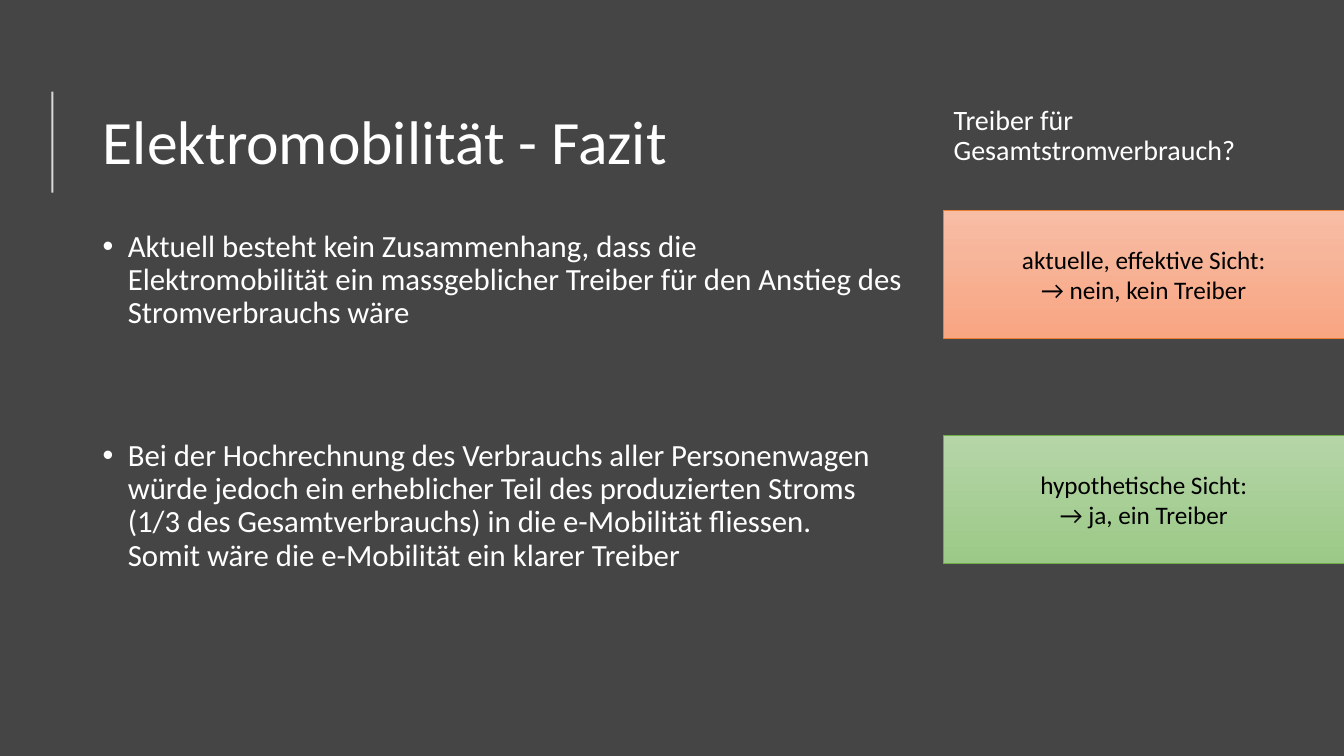
from dataclasses import dataclass

from lxml.etree import SubElement
from pptx import Presentation
from pptx.dml.color import RGBColor
from pptx.enum.shapes import MSO_CONNECTOR as Connector, MSO_SHAPE as Shape
from pptx.enum.text import MSO_ANCHOR as Anchor, MSO_AUTO_SIZE as AutoSize, PP_ALIGN as Align
from pptx.oxml.ns import qn
from pptx.slide import Slide
from pptx.text.text import TextFrame, _Paragraph as Paragraph
from pptx.util import Inches, Pt

FONT = "Calibri"
COLORS = {
    "background": "454545",
    "light": "FFFFFF",
    "dark": "000000",
    "orange_top": "F7BDA5",
    "orange_bottom": "F8A582",
    "orange_line": "ED7D31",
    "green_top": "B5D5A7",
    "green_bottom": "9CC987",
    "green_line": "70AD47",
}
SIDE_LEFT, SIDE_WIDTH = 9.36, 3.97
VIEW_HEIGHT = 1.27


@dataclass
class View:
    top: float
    color: str
    lines: list[str]


VIEWS = [
    View(2.09, "orange", ["aktuelle, effektive Sicht:", "→ nein, kein Treiber"]),
    View(4.32, "green", ["hypothetische Sicht:", "→ ja, ein Treiber"]),
]
CONCLUSIONS = [
    "Aktuell besteht kein Zusammenhang, dass die Elektromobilität ein massgeblicher "
    "Treiber für den Anstieg des Stromverbrauchs wäre",
    "Bei der Hochrechnung des Verbrauchs aller Personenwagen würde jedoch ein "
    "erheblicher Teil des produzierten Stroms (1/3 des Gesamtverbrauchs) in die "
    "e-Mobilität fliessen.\vSomit wäre die e-Mobilität ein klarer Treiber",
]
CONCLUSION_GAP = 78


def rgb(name: str) -> RGBColor:
    return RGBColor.from_string(COLORS[name])


def write(frame: TextFrame, lines: list[str], size: float, color: str = "light",
          anchor: Anchor = Anchor.MIDDLE, **para_format) -> list[Paragraph]:
    """Fill the frame with one paragraph per line and return the paragraphs."""
    frame.word_wrap = True
    frame.auto_size = AutoSize.NONE
    frame.vertical_anchor = anchor
    paras = [frame.paragraphs[0]] + [frame.add_paragraph() for _ in lines[1:]]
    for para, line in zip(paras, lines):
        para.text = line
        for name, value in para_format.items():
            setattr(para, name, value)
        for span in para.runs:
            span.font.color.rgb = rgb(color)
            for name, value in {"name": FONT, "size": Pt(size)}.items():
                setattr(span.font, name, value)
    return paras


def add_title(slide: Slide) -> None:
    title = slide.shapes.title
    place = {"left": 0.92, "top": 0.78, "width": 6.35, "height": 1.31}
    for name, value in place.items():
        setattr(title, name, Inches(value))
    write(title.text_frame, ["Elektromobilität - Fazit"], 44,
          line_spacing=0.9, alignment=Align.LEFT)


def add_accent_line(slide: Slide) -> None:
    accent = slide.shapes.add_connector(
        Connector.STRAIGHT, Inches(0.52), Inches(1.91), Inches(0.52), Inches(0.91))
    accent.line.width = Pt(1.5)
    accent.line.color.rgb = rgb("light")
    properties = accent.element.spPr
    SubElement(next(properties.iter(qn("a:srgbClr"))), qn("a:alpha"), val="80000")
    SubElement(properties, qn("a:effectLst"))


def add_conclusions(slide: Slide) -> None:
    box = slide.shapes.add_textbox(Inches(0.92), Inches(2.24), Inches(8.14), Inches(4.51))
    paras = write(box.text_frame, CONCLUSIONS, 22, anchor=Anchor.TOP, line_spacing=0.9)
    for para in paras[1:]:
        para.space_before = Pt(CONCLUSION_GAP)
    for para in paras:
        properties = para._p.get_or_add_pPr()
        properties.set("marL", str(Inches(0.25)))
        properties.set("indent", str(-Inches(0.25)))
        SubElement(properties, qn("a:buFont"), typeface="Arial")
        SubElement(properties, qn("a:buChar"), char="•")


def add_question(slide: Slide) -> None:
    box = slide.shapes.add_textbox(
        Inches(SIDE_LEFT), Inches(0.7), Inches(SIDE_WIDTH), Inches(1.31))
    write(box.text_frame, ["Treiber für Gesamtstromverbrauch?"], 20, line_spacing=0.9)


def add_view(slide: Slide, view: View) -> None:
    box = slide.shapes.add_shape(
        Shape.RECTANGLE, Inches(SIDE_LEFT), Inches(view.top),
        Inches(SIDE_WIDTH), Inches(VIEW_HEIGHT))
    box.shadow.inherit = False
    box.fill.gradient()
    box.fill.gradient_angle = 270
    for stop, end, position in zip(box.fill.gradient_stops, ("top", "bottom"), (0, 1)):
        stop.color.rgb = rgb(f"{view.color}_{end}")
        stop.position = position
    box.line.color.rgb = rgb(f"{view.color}_line")
    box.line.width = Pt(0.5)
    write(box.text_frame, view.lines, 18, "dark", alignment=Align.CENTER)


def main() -> None:
    deck = Presentation()
    deck.slide_width, deck.slide_height = Inches(13.33), Inches(7.5)
    slide = deck.slides.add_slide(deck.slide_layouts.get_by_name("Title Only"))
    slide.background.fill.solid()
    slide.background.fill.fore_color.rgb = rgb("background")
    add_title(slide)
    add_accent_line(slide)
    add_conclusions(slide)
    for view in VIEWS:
        add_view(slide, view)
    add_question(slide)
    deck.save("out.pptx")


if __name__ == "__main__":
    main()
